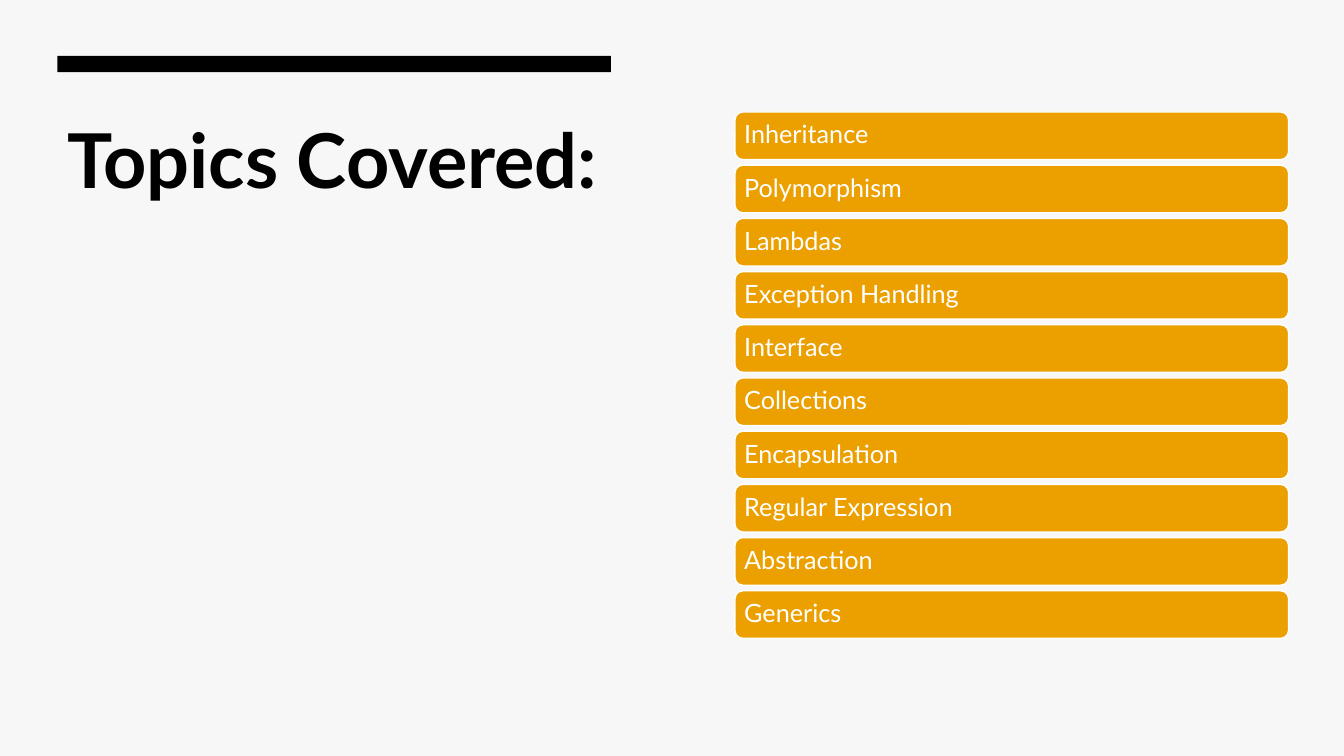
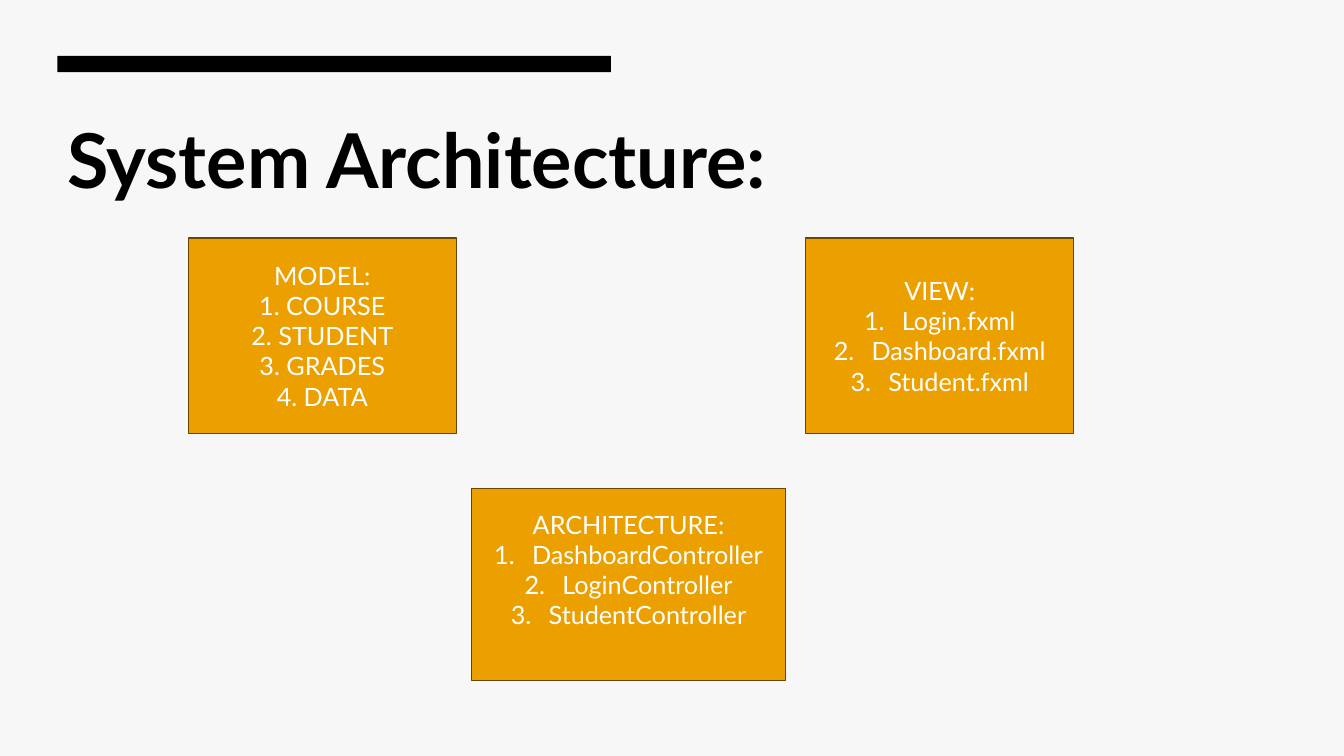
from dataclasses import dataclass

from lxml.etree import SubElement as Sub
from pptx import Presentation
from pptx.dml.color import RGBColor as RGB
from pptx.enum.shapes import MSO_SHAPE as Geo
from pptx.enum.text import MSO_ANCHOR as Anchor, PP_ALIGN as Align
from pptx.oxml.ns import qn
from pptx.util import Pt

SCALE = 6350  # EMU per px, on a slide of 1920 by 1080 px


@dataclass(frozen=True)
class Theme:
    font: str = "Lato"
    back: RGB = RGB(0xF7, 0xF7, 0xF7)
    ink: RGB = RGB(0, 0, 0)
    fill: RGB = RGB(0xEB, 0xA0, 0x00)
    edge: RGB = RGB(0x67, 0x46, 0x00)
    white: RGB = RGB(0xFF, 0xFF, 0xFF)
    head: int = 54
    body: int = 18


THEME = Theme()
LEFT, HALF, FULL = 82, 791, 1758  # left margin, column and content widths
INDENT = 54

TOPICS = ["Inheritance", "Polymorphism", "Lambdas", "Exception Handling",
          "Interface", "Collections", "Encapsulation", "Regular Expression",
          "Abstraction", "Generics"]
MODEL = ["MODEL:", "1. COURSE", "2. STUDENT", "3. GRADES", "4. DATA"]
VIEW = ["VIEW:", "Login.fxml", "Dashboard.fxml", "Student.fxml"]
CONTROL = ["ARCHITECTURE:", "DashboardController", "LoginController",
           "StudentController"]


def px(*vals):
    return [val * SCALE for val in vals]


def number(para):
    """Give a paragraph an automatic number with a hanging indent."""
    props = para._p.get_or_add_pPr()
    props.set("marL", str(INDENT * SCALE))
    props.set("indent", str(-INDENT * SCALE))
    Sub(props, qn("a:buAutoNum"), type="arabicPeriod")


def write(frame, lines, size=THEME.body, color=THEME.white, bold=False,
          align=Align.LEFT, anchor=Anchor.MIDDLE, pad=(14, 7, 14, 7),
          space=None, count=False):
    """Fill a frame; count numbers every line below the first."""
    frame.word_wrap = True
    frame.vertical_anchor = anchor
    (frame.margin_left, frame.margin_top,
     frame.margin_right, frame.margin_bottom) = px(*pad)
    for i, line in enumerate(lines):
        para = frame.add_paragraph() if i else frame.paragraphs[0]
        para.alignment = align
        para.line_spacing = space
        if count and i:
            number(para)
        run = para.add_run()
        run.text = line
        font = run.font
        font.name, font.size, font.bold = THEME.font, Pt(size), bold
        font.color.rgb = color


def block(slide, area, geo=Geo.RECTANGLE, fill=THEME.fill, edge=None):
    shape = slide.shapes.add_shape(geo, *px(*area))
    shape.shadow.inherit = False
    shape.fill.solid()
    shape.fill.fore_color.rgb = fill
    if edge is None:
        shape.line.fill.background()
    else:
        shape.line.color.rgb = edge
        shape.line.width = Pt(1)
    return shape


def page(deck, title, width, height):
    """Add a slide with the shared background, band and title."""
    slide = deck.slides.add_slide(deck.slide_layouts[6])
    slide.background.fill.solid()
    slide.background.fill.fore_color.rgb = THEME.back
    block(slide, (LEFT, 80, HALF, 23), fill=THEME.ink)
    box = slide.shapes.add_textbox(*px(LEFT, 154, width, height))
    write(box.text_frame, [title], size=THEME.head, color=THEME.ink,
          bold=True, anchor=Anchor.TOP)
    return slide


def bars(slide, names, left=1050, top=160, step=76, height=68):
    """Stack one rounded bar per name."""
    for i, name in enumerate(names):
        area = (left, top + i * step, HALF, height)
        bar = block(slide, area, Geo.ROUNDED_RECTANGLE, edge=THEME.white)
        write(bar.text_frame, [name], pad=(10, 10, 10, 10), space=0.9)


def card(slide, area, lines, **style):
    shape = block(slide, area, edge=THEME.edge)
    write(shape.text_frame, lines, align=Align.CENTER, **style)


def main():
    deck = Presentation()
    deck.slide_width, deck.slide_height = px(1920, 1080)

    # Topics
    slide = page(deck, "Topics Covered:", HALF, 768)
    bars(slide, TOPICS)

    # Architecture: two cards above, one below with its text set higher
    slide = page(deck, "System Architecture:", FULL, 186)
    card(slide, (269, 340, 383, 279), MODEL)
    card(slide, (1151, 340, 383, 279), VIEW, count=True)
    card(slide, (674, 698, 448, 274), CONTROL, count=True,
         pad=(14, 7, 14, 50))

    deck.save("out.pptx")


if __name__ == "__main__":
    main()
